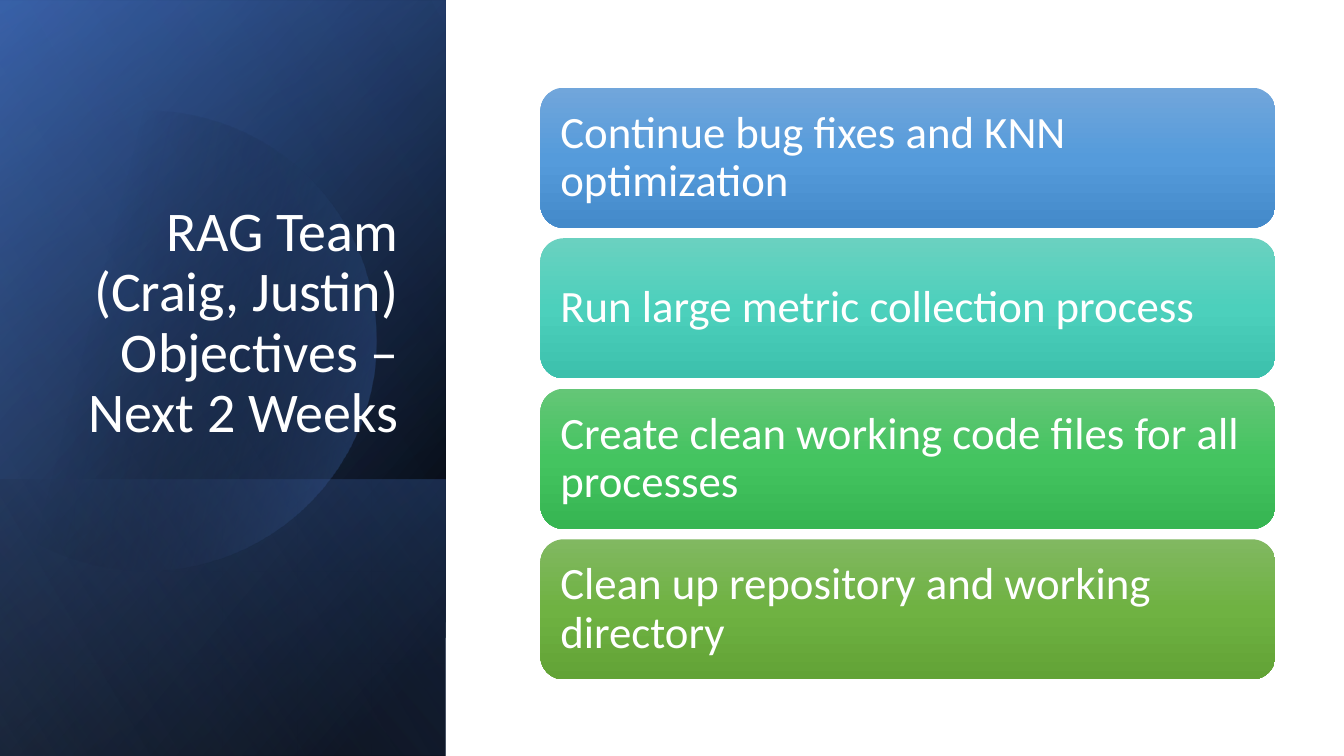
import math

import pptx
import pptx.dml.color
import pptx.enum.shapes
import pptx.enum.text
import pptx.oxml
import pptx.oxml.ns
import pptx.util

Inches = pptx.util.Inches
SHAPE = pptx.enum.shapes.MSO_SHAPE
ALIGN = pptx.enum.text.PP_ALIGN
ANCHOR = pptx.enum.text.MSO_ANCHOR

PANELS = [
    ((-1.54, 1.54, 7.5, 4.42), [(8, "000000", 100), (100, "2F5597", 100)], 50),
    ((-1.54, 1.55, 7.5, 4.42), [(0, "000000", 0), (99, "4472C4", 46)], 30),
    ((0.84, 3.92, 2.74, 4.42), [(2, "4472C4", 29), (100, "000000", 30)], 130),
]
GLOW = ((-1.54, 1.54, 7.5, 4.42), [(0, "000000", 0), (99, "8FAADC", 11)], 120)
CARDS = [
    ("Continue bug fixes and KNN optimization", ("71A6DB", "559BDB", "448ACA")),
    ("Run large metric collection process", ("6AD1C0", "4CD0BC", "3CC0AC")),
    ("Create clean working code files for all processes",
     ("64C677", "44C460", "36B552")),
    ("Clean up repository and working directory",
     ("81B861", "6FB242", "62A336")),
]


def color(code):
    """Turn a hex string into a colour."""
    return pptx.dml.color.RGBColor.from_string(code)


def shade(shape, stops, angle):
    """Fill a shape with a linear gradient, without line or shadow."""
    shape.shadow.inherit = False
    shape.line.fill.background()
    shape.fill.background()
    marks = "".join(
        f'<a:gs pos="{place * 1000}"><a:srgbClr val="{color(code)}">'
        f'<a:alpha val="{alpha * 1000}"/></a:srgbClr></a:gs>'
        for place, code, alpha in stops)
    grad = pptx.oxml.parse_xml(
        f'<a:gradFill {pptx.oxml.ns.nsdecls("a")} rotWithShape="1">'
        f'<a:gsLst>{marks}</a:gsLst>'
        f'<a:lin ang="{angle * 60000}" scaled="0"/></a:gradFill>')
    props = shape._element.spPr
    props.replace(props.find(pptx.oxml.ns.qn("a:noFill")), grad)


def write(shape, text, size=32, align=ALIGN.LEFT, anchor=ANCHOR.MIDDLE,
          inset=(0.13, 0.13), font="Calibri", ink="FFFFFF"):
    """Put one formatted paragraph into a shape."""
    frame = shape.text_frame
    frame.word_wrap = True
    frame.vertical_anchor = anchor
    frame.margin_left = frame.margin_right = Inches(inset[0])
    frame.margin_top = frame.margin_bottom = Inches(inset[1])
    para = frame.paragraphs[0]
    para.text = text
    para.alignment = align
    para.line_spacing = 0.9
    para.font.size = pptx.util.Pt(size)
    para.font.name = font
    para.font.color.rgb = color(ink)


def panel(slide, box, stops, angle):
    """Add a turned and mirrored gradient panel."""
    shape = slide.shapes.add_shape(SHAPE.RECTANGLE, *map(Inches, box))
    shape.rotation = 90
    shape._element.spPr.xfrm.set("flipH", "1")
    shade(shape, stops, angle)


def disc(slide, x, y, radius, steps=72):
    """Add a circle cut off by the left edge of the slide."""
    reach = math.acos(-x / radius)
    turns = [reach * (2 * step / steps - 1) for step in range(steps + 1)]
    points = [(Inches(x + radius * math.cos(turn)),
               Inches(y + radius * math.sin(turn))) for turn in turns]
    pen = slide.shapes.build_freeform(*points[0])
    pen.add_line_segments(points[1:], close=True)
    shade(pen.convert_to_shape(), [(29, "000000", 0), (100, "4472C4", 43)], 14)


def card(slide, top, text, tones):
    """Add a rounded card with its text."""
    shape = slide.shapes.add_shape(
        SHAPE.ROUNDED_RECTANGLE, Inches(5.36), Inches(top),
        Inches(7.29), Inches(1.39))
    shade(shape, [(50 * i, tone, 100) for i, tone in enumerate(tones)], 90)
    write(shape, text)


def main():
    """Build the slide and save it."""
    deck = pptx.Presentation()
    deck.slide_width, deck.slide_height = Inches(13.33), Inches(7.5)
    slide = deck.slides.add_slide(deck.slide_layouts[6])
    for item in PANELS:
        panel(slide, *item)
    disc(slide, 1.45, 3.38, 2.28)
    panel(slide, *GLOW)
    title = slide.shapes.add_textbox(
        Inches(0.64), Inches(1.84), Inches(3.41), Inches(2.62))
    write(title, "RAG Team (Craig, Justin) Objectives – Next 2 Weeks", size=40,
          align=ALIGN.RIGHT, anchor=ANCHOR.BOTTOM, inset=(0.1, 0.05))
    pitch = (5.35 - 0.87) / (len(CARDS) - 1)
    for row, (text, tones) in enumerate(CARDS):
        card(slide, 0.87 + row * pitch, text, tones)
    deck.save("out.pptx")


if __name__ == "__main__":
    main()
